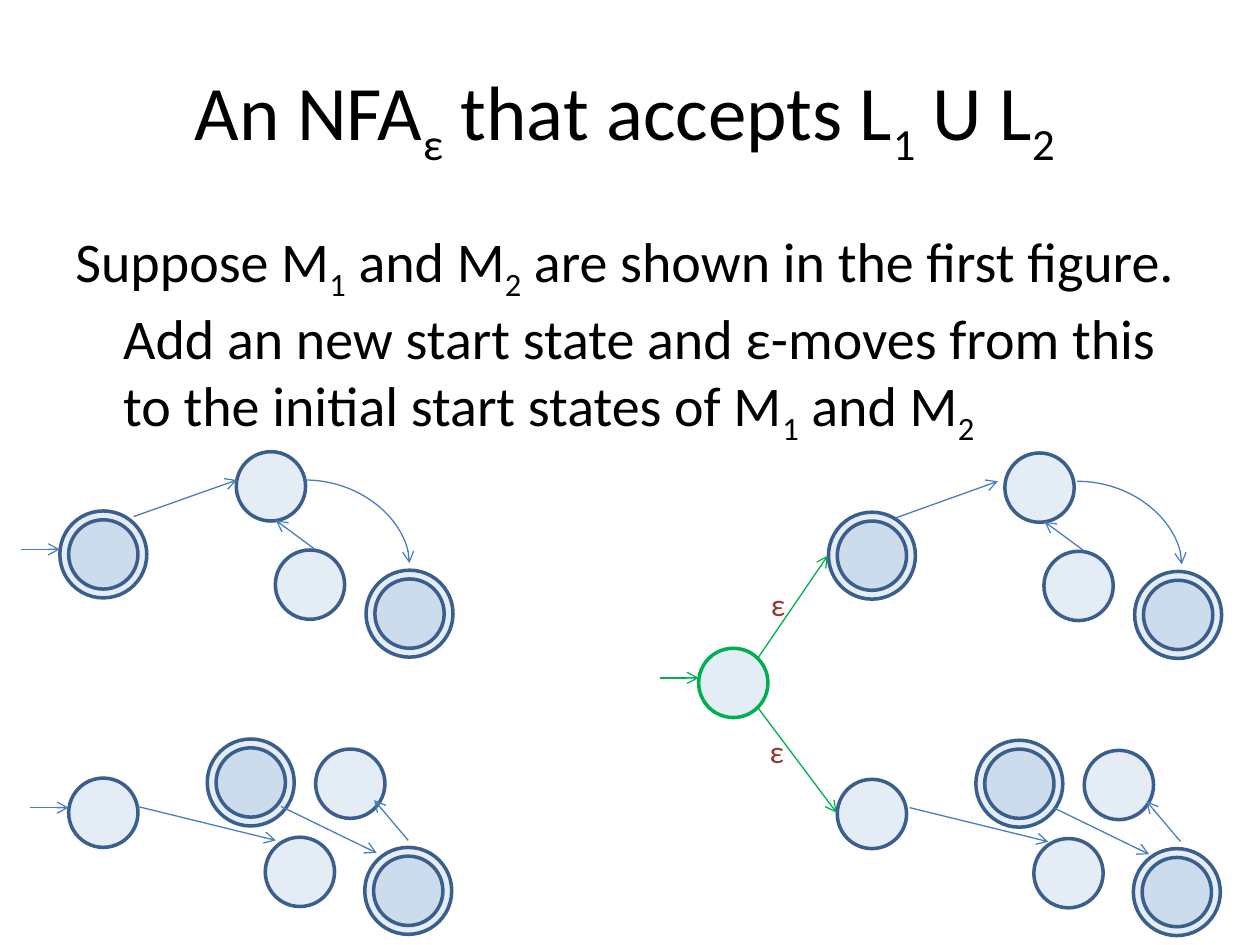
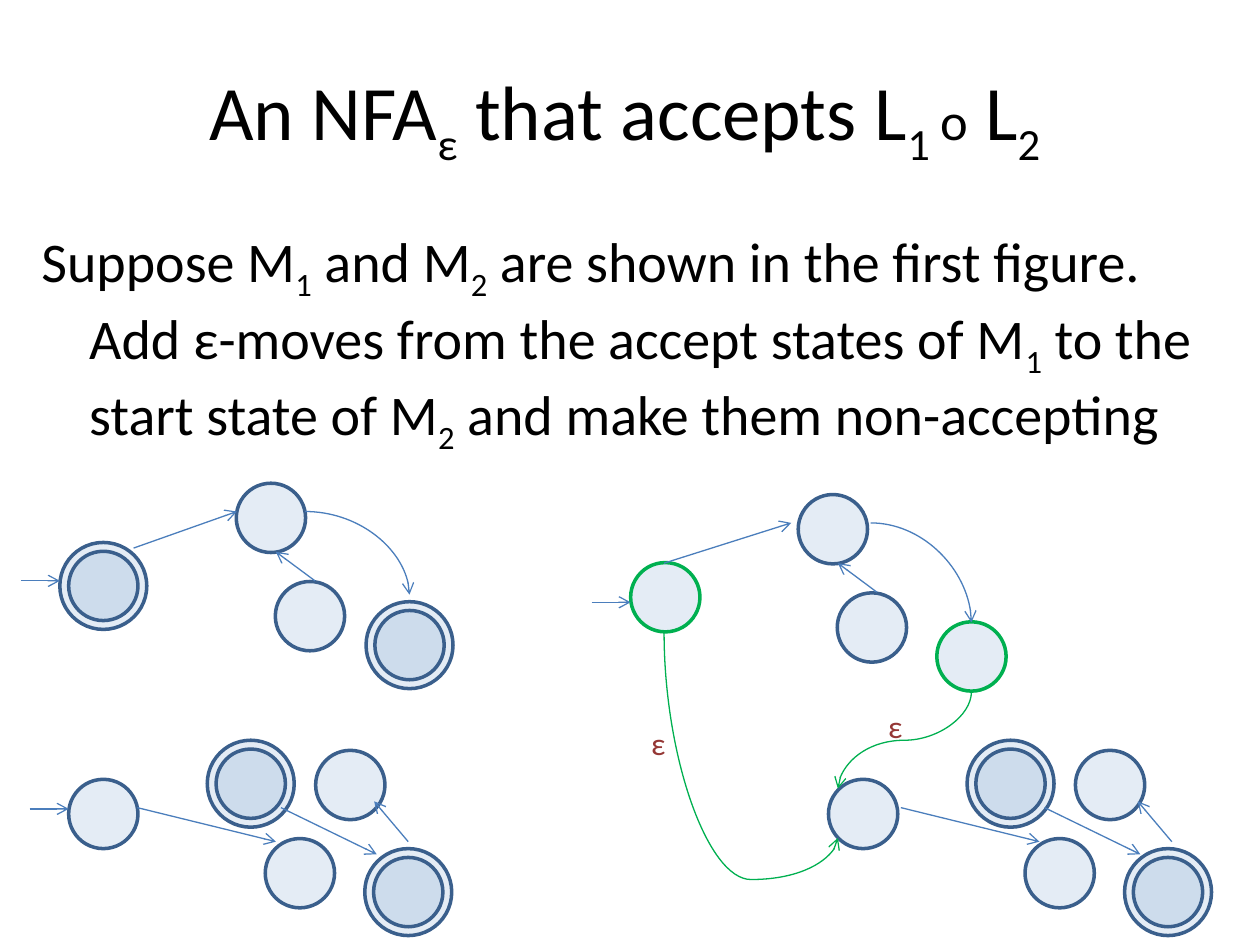
from dataclasses import dataclass

import lxml.etree
import pptx
import pptx.dml.color
import pptx.enum.shapes
import pptx.enum.text
import pptx.oxml.ns
import pptx.util

qn = pptx.oxml.ns.qn
COLUMNS, ROWS = 100, 75


@dataclass(frozen=True)
class Theme:
    font: str = "Calibri"
    text: str = "000000"
    label: str = "953735"
    state: str = "4F81BD"
    state_alpha: int = 15000
    outline: str = "3A5F8C"
    arrow: str = "4B7EBC"
    added: str = "00B050"
    title_size: int = 44
    operator_size: int = 30
    body_size: int = 32
    label_size: int = 18
    outline_width: float = 2
    arrow_width: float = 0.75


def rgb(value):
    return pptx.dml.color.RGBColor.from_string(value)


def apply_format(target, values):
    for name, value in values.items():
        setattr(target, name, value)


def shift(origin, offset):
    return origin[0] + offset[0], origin[1] + offset[1]


class AutomataDeck:
    inner, outer = 5.5, 6.9

    def __init__(self, theme):
        self.theme = theme
        self.deck = pptx.Presentation()
        apply_format(self.deck, {"slide_width": pptx.util.Inches(10),
                                 "slide_height": pptx.util.Inches(7.5)})
        self.slide = None

    def new_slide(self):
        self.slide = self.deck.slides.add_slide(self.deck.slide_layouts[6])

    def x(self, columns):
        return int(self.deck.slide_width * columns / COLUMNS)

    def y(self, rows):
        return int(self.deck.slide_height * rows / ROWS)

    def text(self, left, top, width, height, content, size, color=None,
             frame_format=None, align=None, hanging=0, sizes=None):
        box = self.slide.shapes.add_textbox(
            self.x(left), self.y(top), self.x(width), self.y(height))
        apply_format(box.text_frame, {"word_wrap": True} | (frame_format or {}))
        paragraph = box.text_frame.paragraphs[0]
        paragraph.alignment = align
        if hanging:
            properties = paragraph._p.get_or_add_pPr()
            properties.set("marL", str(self.x(hanging)))
            properties.set("indent", str(-self.x(hanging)))
        for index, part in enumerate(content.split("|")):
            if not part:
                continue
            run = paragraph.add_run()
            run.text = part
            part_size = (sizes or {}).get(part, size)
            apply_format(run.font, {"name": self.theme.font,
                                    "size": pptx.util.Pt(part_size)})
            run.font.color.rgb = rgb(color or self.theme.text)
            if index % 2:
                run._r.get_or_add_rPr().set("baseline", "-25000")

    def title(self, content):
        self.text(5, 3, 90, 12.5, content, self.theme.title_size,
                  frame_format={"vertical_anchor": pptx.enum.text.MSO_ANCHOR.MIDDLE},
                  align=pptx.enum.text.PP_ALIGN.CENTER,
                  sizes={"o": self.theme.operator_size})

    def body(self, left, width, content):
        self.text(left, 17.5, width, 49.5, content, self.theme.body_size, hanging=3.8)

    def epsilon(self, left, top):
        self.text(left, top, 3.2, 4, "ε", self.theme.label_size, self.theme.label,
                  {"word_wrap": False,
                   "auto_size": pptx.enum.text.MSO_AUTO_SIZE.SHAPE_TO_FIT_TEXT})

    def circle(self, center, diameter, color):
        left, top = shift(center, (-diameter / 2, -diameter / 2))
        oval = self.slide.shapes.add_shape(
            pptx.enum.shapes.MSO_SHAPE.OVAL,
            self.x(left), self.y(top), self.x(diameter), self.y(diameter))
        oval.shadow.inherit = False
        oval.fill.solid()
        oval.fill.fore_color.rgb = rgb(self.theme.state)
        tint = oval._element.spPr.find(qn("a:solidFill"))[0]
        lxml.etree.SubElement(tint, qn("a:alpha"), val=str(self.theme.state_alpha))
        oval.line.color.rgb = rgb(color)
        oval.line.width = pptx.util.Pt(self.theme.outline_width)
        return oval

    def state(self, center, accepting=False, color=None):
        color = color or self.theme.outline
        if accepting:
            self.circle(center, self.outer, color)
        return self.circle(center, self.inner, color)

    def arrow(self, start, end, color=None, preset="line"):
        kind = pptx.enum.shapes.MSO_CONNECTOR.STRAIGHT
        if preset != "line":
            kind = pptx.enum.shapes.MSO_CONNECTOR.CURVE
        arrow = self.slide.shapes.add_connector(
            kind, self.x(start[0]), self.y(start[1]), self.x(end[0]), self.y(end[1]))
        arrow.line.color.rgb = rgb(color or self.theme.arrow)
        arrow.line.width = pptx.util.Pt(self.theme.arrow_width)
        properties = arrow._element.spPr
        properties.find(qn("a:prstGeom")).set("prst", preset)
        lxml.etree.SubElement(properties.find(qn("a:ln")), qn("a:tailEnd"), type="arrow")
        lxml.etree.SubElement(properties, qn("a:effectLst"))
        return arrow

    def upright_curve(self, start, end, source, target, sites, bend):
        curve = self.arrow(start, end, self.theme.added, "curvedConnector3")
        across, down = curve.width, curve.height
        apply_format(curve, {"left": curve.left + (across - down) // 2,
                             "top": curve.top + (down - across) // 2,
                             "width": down, "height": across})
        rightward = end[0] > start[0]
        frame = curve._element.spPr.find(qn("a:xfrm"))
        frame.set("rot", str((270 if rightward else 90) * 60000))
        frame.set("flipH", "1" if rightward else "0")
        guides = curve._element.spPr.find(qn("a:prstGeom")).find(qn("a:avLst"))
        lxml.etree.SubElement(guides, qn("a:gd"), name="adj1", fmla=f"val {bend}")
        links = curve._element.nvCxnSpPr.cNvCxnSpPr
        for tag, oval, site in zip(("a:stCxn", "a:endCxn"), (source, target), sites):
            lxml.etree.SubElement(links, qn(tag), id=str(oval.shape_id), idx=str(site))

    def entry(self, center, diameter, rise=-0.4, color=None):
        tip = shift(center, (-diameter / 2, rise))
        self.arrow(shift(tip, (-3.1, 0)), tip, color)

    def first_machine(self, origin, accepting=True, leave=(2.4, -3), arrive=10.6,
                      arc_start=16, arc_end=(24.3, 0.7)):
        color = None if accepting else self.theme.added
        start = self.state(origin, accepting, color)
        for offset in ((13.3, -5.4), (16.4, 2.4)):
            self.state(shift(origin, offset))
        last = self.state(shift(origin, (24.3, 4.7)), accepting, color)
        self.arrow(shift(origin, leave), shift(origin, (arrive, -5.9)))
        self.arrow(shift(origin, (16.8, -0.4)), shift(origin, (13.7, -2.7)))
        self.arrow(shift(origin, (arc_start, -5.9)), shift(origin, arc_end),
                   preset="curvedConnector2")
        return start, last

    def second_machine(self, origin, nudge=0):
        start = self.state(origin)
        for offset, accepting in (((11.7, -2.4), True), ((19.6, -2.3), False),
                                  ((15.6, 4.7), False), ((24.2, 6.2), True)):
            self.state(shift(origin, offset), accepting)
        base = shift(origin, (nudge, 0))
        for tail, head in (((2.7, -0.5), (13.7, 2.2)),
                           ((14.1, -0.5), (21.7, 3.2)),
                           ((24.2, 2.2), (21.5, -1))):
            self.arrow(shift(base, tail), shift(base, head))
        return start

    def given_machines(self, first, second):
        self.first_machine(first)
        self.entry(first, self.outer)
        self.second_machine(second)
        self.entry(second, self.inner)

    def union_slide(self):
        self.new_slide()
        self.title("An NFA|ε| that accepts L|1| U L|2 ")
        self.body(5, 90, "Suppose M|1| and M|2| are shown in the first figure. "
                  "Add an new start state and ε-moves from this to the initial "
                  "start states of M|1| and M|2")
        self.given_machines((8.2, 44), (8.2, 64.5))
        self.first_machine((69.2, 44.1), leave=(1.9, -3), arrive=10,
                           arc_start=16.3, arc_end=(24.6, 0.7))
        self.second_machine((69.2, 64.6), nudge=0.3)
        new_start = (58.2, 54.2)
        self.state(new_start, color=self.theme.added)
        self.entry(new_start, self.inner, color=self.theme.added)
        self.arrow((60.1, 52.3), (65.7, 44.1), self.theme.added)
        self.arrow((60.1, 56.1), (66.4, 64.5), self.theme.added)
        self.epsilon(60.1, 57.6)
        self.epsilon(60.2, 45.9)

    def concatenation_slide(self):
        self.new_slide()
        self.title("An NFA|ε| that accepts L|1 |o|| L|2 ")
        self.body(2.3, 95, "Suppose M|1| and M|2| are shown in the first figure. "
                  "Add ε-moves from the accept states of M|1| to the start state "
                  "of M|2| and make them non-accepting")
        self.given_machines((8.2, 46.5), (8.2, 64.6))
        origin = (52.8, 47.4)
        first_accept, last_accept = self.first_machine(
            origin, accepting=False, leave=(-0.1, -2.7), arrive=10,
            arc_start=16.3, arc_end=(24.3, 2))
        self.entry(origin, self.inner, rise=0.4)
        second_start = self.second_machine((68.5, 64.6), nudge=0.3)
        self.upright_curve((52.7, 50.2), (66.5, 66.5), first_accept, second_start,
                           (4, 3), 120300)
        self.upright_curve((77.1, 54.9), (66.5, 62.6), last_accept, second_start,
                           (4, 1), 50000)
        self.epsilon(50.7, 57)
        self.epsilon(69.5, 55.6)


def main():
    automata = AutomataDeck(Theme())
    automata.union_slide()
    automata.concatenation_slide()
    automata.deck.save("out.pptx")


if __name__ == "__main__":
    main()
